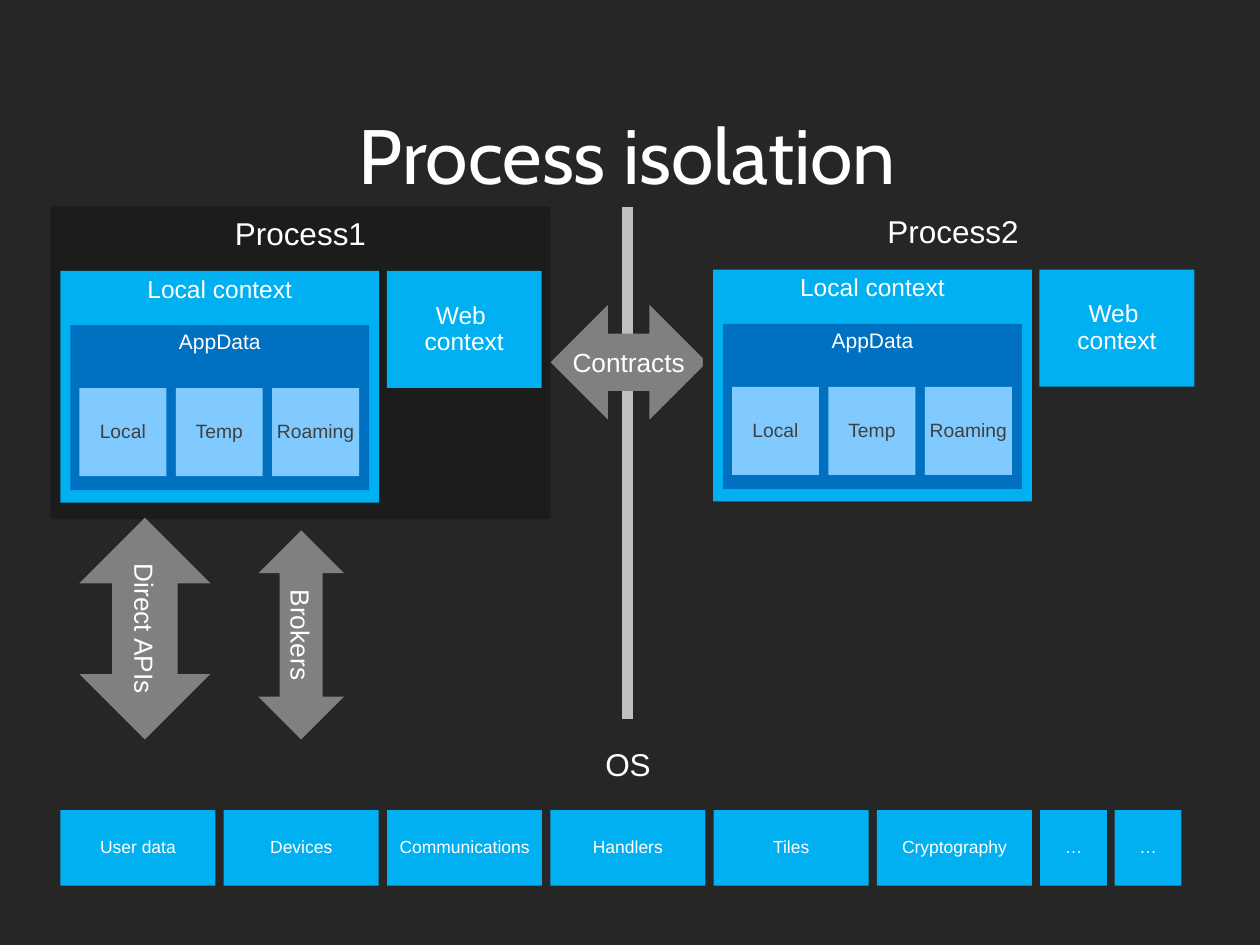
from lxml import etree
from pptx import Presentation
from pptx.dml.color import RGBColor
from pptx.enum.shapes import MSO_CONNECTOR, MSO_SHAPE
from pptx.enum.text import MSO_ANCHOR, PP_ALIGN
from pptx.oxml.ns import qn
from pptx.util import Inches, Pt

RECT = MSO_SHAPE.RECTANGLE
ROUNDED = MSO_SHAPE.ROUNDED_RECTANGLE
ARROW = MSO_SHAPE.LEFT_RIGHT_ARROW
TOP, MIDDLE = MSO_ANCHOR.TOP, MSO_ANCHOR.MIDDLE
CENTER = PP_ALIGN.CENTER

COLORS = {
    "background": "262626", "active": "1C1C1C", "divider": "BFBFBF",
    "arrow": "808080", "context": "00B0F0", "data": "0070C0",
    "store": "80CAFF", "light": "FFFFFF", "dark": "404040",
}


def rgb(name):
    return RGBColor.from_string(COLORS[name])


def add_box(parent, kind, at, fill, text, size, anchor=MIDDLE,
            inset=(0.07, 0.04), spacing=None, color="light"):
    box = parent.add_shape(kind, *[Inches(v) for v in at])
    box.shadow.inherit = False
    box.fill.solid()
    box.fill.fore_color.rgb = rgb(fill)
    box.line.fill.background()
    if kind == ROUNDED:
        box.adjustments[0] = 0.01
    frame = box.text_frame
    frame.word_wrap = True
    frame.vertical_anchor = anchor
    frame.margin_left = frame.margin_right = Inches(inset[0])
    frame.margin_top = frame.margin_bottom = Inches(inset[1])
    frame.text = text
    for paragraph in frame.paragraphs:
        paragraph.alignment = CENTER
        paragraph.line_spacing = spacing
        paragraph.font.size = Pt(size)
        paragraph.font.name = "Arial"
        paragraph.font.color.rgb = rgb(color)
    return box


prs = Presentation()
prs.slide_width, prs.slide_height = Inches(10), Inches(7.5)
slide = prs.slides.add_slide(prs.slide_layouts[5])
slide.background.fill.solid()
slide.background.fill.fore_color.rgb = rgb("background")
shapes = slide.shapes

# Title
title = shapes.title
title.left, title.top = Inches(0.48), Inches(0.8)
title.width, title.height = Inches(9), Inches(1.25)
title.text_frame.vertical_anchor = TOP
title.text_frame.text = "Process isolation"
heading = title.text_frame.paragraphs[0]
heading.alignment = CENTER
heading.font.size = Pt(44)
heading.font.name = "Cabin"
heading.font.color.rgb = rgb("light")

# Divider between the processes
divider = shapes.add_connector(MSO_CONNECTOR.STRAIGHT, Inches(4.98),
                               Inches(1.64), Inches(4.98), Inches(5.71))
divider.line.color.rgb = rgb("divider")
divider.line.width = Pt(6)
etree.SubElement(divider._element.spPr, qn("a:effectLst"))

# Operating system services
add_box(shapes, ROUNDED, (0.4, 5.87, 9.17, 1.29), "background", "OS", 18, TOP)
services = ["User data", "Devices", "Communications", "Handlers", "Tiles",
            "Cryptography", "…", "…"]
left = 0.48
for service in services:
    width, gap = (0.53, 0.06) if service == "…" else (1.23, 0.066)
    add_box(shapes, RECT, (left, 6.43, width, 0.6), "context", service, 10,
            inset=(0.04, 0.04), spacing=0.9)
    left += width + gap

# Brokers sit below the process panels
brokers = add_box(shapes, ARROW, (1.56, 4.7, 1.66, 0.68), "arrow",
                  "Brokers", 15)
brokers.rotation = 90

# Process panels, with the contracts arrow between them
for name, x, y, fill in [("Process1", 0.4, 1.64, "active"),
                         ("Process2", 5.58, 1.63, "background")]:
    if name == "Process2":
        contracts = add_box(shapes, ARROW, (4.37, 2.42, 1.24, 0.91), "arrow",
                            "Contracts", 15)
        contracts.text_frame.word_wrap = False
    process = shapes.add_group_shape().shapes
    add_box(process, ROUNDED, (x, y, 3.97, 2.48), fill, name, 18, TOP,
            (0.1, 0.05))
    for part, dx, dy, width, height, part_fill, size, anchor in [
            ("Local context", 0.08, 0.51, 2.53, 1.84, "context", 14, TOP),
            ("Web \ncontext", 2.67, 0.51, 1.23, 0.93, "context", 14, MIDDLE),
            ("AppData", 0.16, 0.94, 2.37, 1.31, "data", 12, TOP)]:
        add_box(process, RECT, (x + dx, y + dy, width, height), part_fill,
                part, size, anchor, (0.05, 0.05), 0.9)
    for i, store in enumerate(["Local", "Temp", "Roaming"]):
        add_box(process, RECT, (x + 0.23 + 0.765 * i, y + 1.44, 0.69, 0.7),
                "store", store, 11, MIDDLE, (0, 0.05), 0.9, "dark")

# Direct access from the first process
direct_apis = add_box(shapes, ARROW, (0.27, 4.47, 1.76, 1.04), "arrow",
                      "Direct APIs", 15)
direct_apis.rotation = 90

prs.save("out.pptx")
